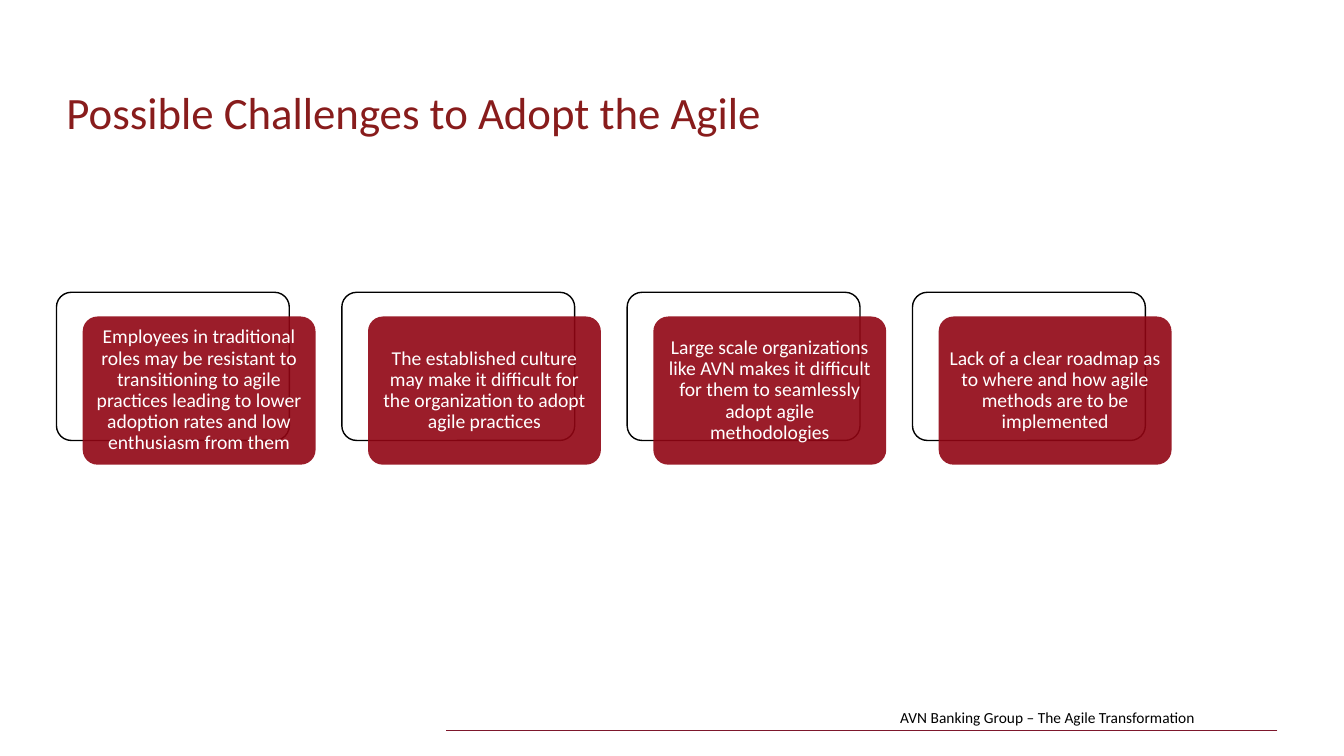
"""Builds the slide on possible challenges to adopting agile."""
import dataclasses

import pptx
import pptx.dml.color
import pptx.enum.shapes
import pptx.enum.text
import pptx.oxml
import pptx.oxml.ns
import pptx.util

Inches = pptx.util.Inches
Pt = pptx.util.Pt
Align = pptx.enum.text.PP_ALIGN
Anchor = pptx.enum.text.MSO_ANCHOR
qn = pptx.oxml.ns.qn


@dataclasses.dataclass(frozen=True)
class Theme:
    """Colours, font and type sizes of the slide."""
    font: str = "Calibri"
    title_color: str = "881C1C"
    card_color: str = "910513"
    rule_color: str = "7D172C"
    ink: str = "000000"
    paper: str = "FFFFFF"
    title_size: float = 32
    card_size: float = 14
    footer_size: float = 11


def rgb(color):
    """Return a colour object for a hex string."""
    return pptx.dml.color.RGBColor.from_string(color)


def write(frame, text, *, font, size, color, align=Align.LEFT,
          anchor=Anchor.TOP, inset=(0.1, 0.05), spacing=1.0, wrap=True):
    """Write one formatted paragraph into a text frame."""
    frame.word_wrap = wrap
    frame.vertical_anchor = anchor
    frame.margin_left = frame.margin_right = Inches(inset[0])
    frame.margin_top = frame.margin_bottom = Inches(inset[1])
    paragraph = frame.paragraphs[0]
    paragraph.text = text
    paragraph.alignment = align
    paragraph.line_spacing = spacing
    paragraph.font.name = font
    paragraph.font.size = Pt(size)
    paragraph.font.color.rgb = rgb(color)


class SlideBuilder:
    """Holds the theme and the slide being built."""

    def __init__(self, slide, theme):
        """Keep the slide and its theme."""
        self.slide = slide
        self.theme = theme

    def label(self, text, left, top, width, height, **style):
        """Add a text box."""
        box = self.slide.shapes.add_textbox(
            Inches(left), Inches(top), Inches(width), Inches(height))
        write(box.text_frame, text, font=self.theme.font, **style)

    def rule(self, start, end, y):
        """Add a thin horizontal line."""
        line = self.slide.shapes.add_connector(
            pptx.enum.shapes.MSO_CONNECTOR.STRAIGHT,
            Inches(start), Inches(y), Inches(end), Inches(y))
        line.line.color.rgb = rgb(self.theme.rule_color)
        line.line.width = Pt(0.5)
        line.element.spPr.append(pptx.oxml.parse_xml(
            f"<a:effectLst {pptx.oxml.ns.nsdecls('a')}/>"))

    def panel(self, left, top, width, height, fill):
        """Add a rounded rectangle without an outline."""
        panel = self.slide.shapes.add_shape(
            pptx.enum.shapes.MSO_SHAPE.ROUNDED_RECTANGLE,
            Inches(left), Inches(top), Inches(width), Inches(height))
        panel.adjustments[0] = 0.1
        panel.shadow.inherit = False
        panel.fill.solid()
        panel.fill.fore_color.rgb = rgb(fill)
        panel.line.fill.background()
        return panel

    def card(self, text, left, top, width=2.31, height=1.47):
        """Add an outlined panel with a translucent text panel over it."""
        theme = self.theme
        back = self.panel(left, top, width, height, theme.paper)
        back.line.color.rgb = rgb(theme.ink)
        back.line.width = Pt(1)
        front = self.panel(left + 0.26, top + 0.24, width, height, theme.card_color)
        color = front.element.spPr.find(f"{qn('a:solidFill')}/{qn('a:srgbClr')}")
        color.append(pptx.oxml.parse_xml(
            f"<a:alpha {pptx.oxml.ns.nsdecls('a')} val=\"90000\"/>"))
        write(front.text_frame, text, font=theme.font, size=theme.card_size,
              color=theme.paper, align=Align.CENTER, anchor=Anchor.MIDDLE,
              inset=(0.06, 0.06), spacing=0.9)


CHALLENGES = [
    "Employees in traditional roles may be resistant to transitioning to agile "
    "practices leading to lower adoption rates and low enthusiasm from them",
    "The established culture may make it difficult for the organization to adopt "
    "agile practices",
    "Large scale organizations like AVN makes it difficult for them to seamlessly "
    "adopt agile methodologies",
    "Lack of a clear roadmap as to where and how agile methods are to be implemented",
]


def main():
    """Build and save the presentation."""
    deck = pptx.Presentation()
    deck.slide_width, deck.slide_height = Inches(13.33), Inches(7.5)
    theme = Theme()
    builder = SlideBuilder(deck.slides.add_slide(deck.slide_layouts[6]), theme)
    builder.rule(12.67, 4.42, 7.25)
    builder.label("AVN Banking Group – The Agile Transformation", 8.83, 6.98, 3.27, 0.29,
                  size=theme.footer_size, color=theme.ink, wrap=False)
    builder.label("Possible Challenges to Adopt the Agile", 0.56, 0.85, 7.48, 0.7,
                  size=theme.title_size, color=theme.title_color, spacing=0.9)
    for index, challenge in enumerate(CHALLENGES):
        builder.card(challenge, 0.56 + 2.83 * index, 2.9)
    deck.save("out.pptx")


if __name__ == "__main__":
    main()
